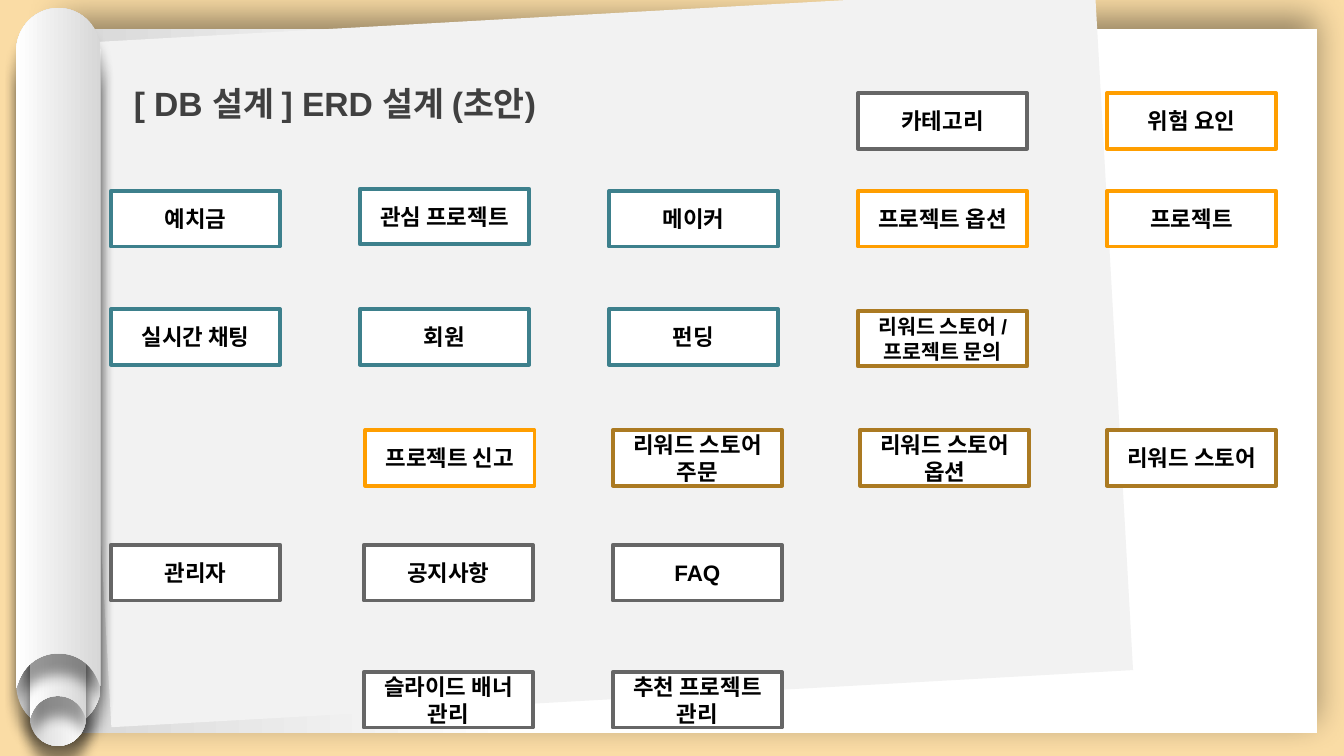
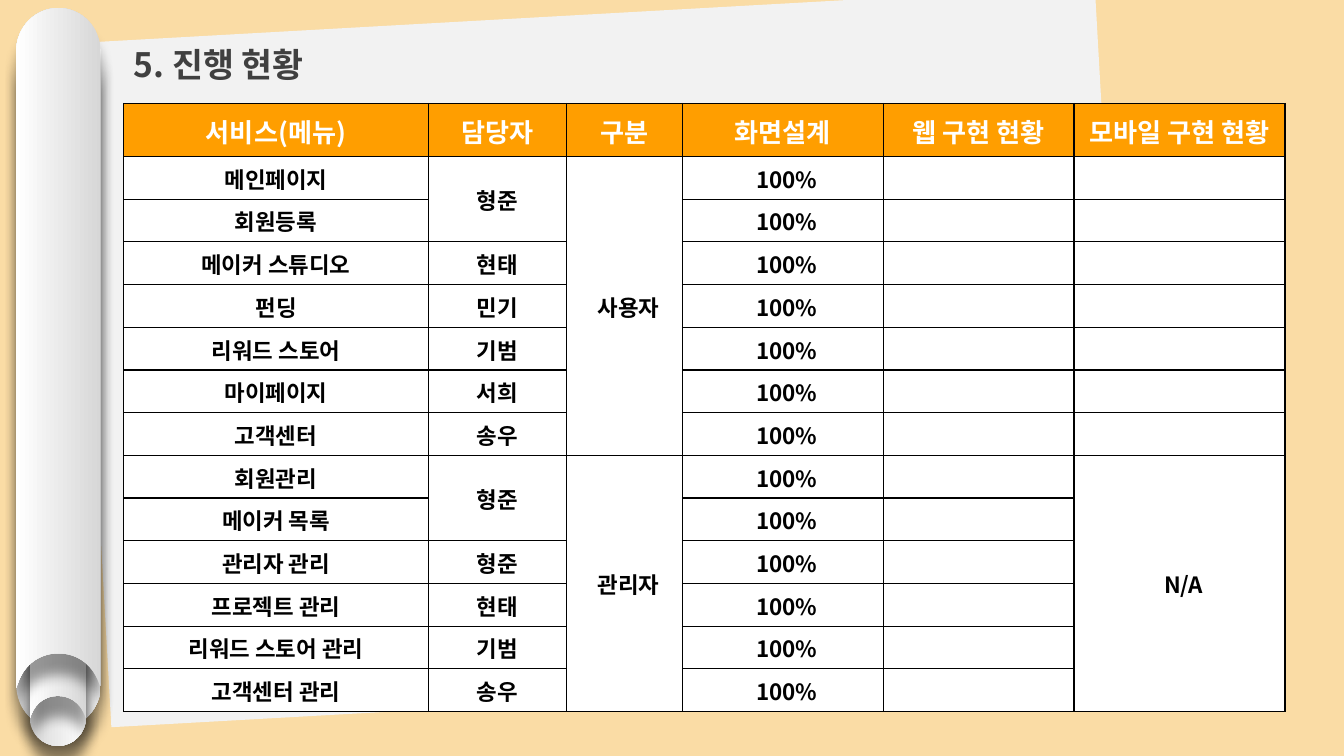
from lxml.etree import SubElement
from pptx import Presentation
from pptx.dml.color import RGBColor
from pptx.enum.shapes import MSO_SHAPE as Shape
from pptx.enum.text import MSO_ANCHOR as Anchor, MSO_AUTO_SIZE as Auto, PP_ALIGN as Align
from pptx.oxml.ns import qn
from pptx.util import Pt

SAND = RGBColor(0xFA, 0xDC, 0xA5)
PAPER = RGBColor(0xF2, 0xF2, 0xF2)
SILVER = RGBColor(0xD7, 0xD7, 0xD7)
WHITE = RGBColor(0xFF, 0xFF, 0xFF)
BLACK = RGBColor(0, 0, 0)
INK = RGBColor(0x40, 0x40, 0x40)
TEAL = RGBColor(0x3D, 0x80, 0x8C)
AMBER = RGBColor(0xFF, 0x9E, 0x00)
BROWN = RGBColor(0xAB, 0x7A, 0x22)
GRAY = RGBColor(0x66, 0x66, 0x66)

LATIN = "Arial"
HANGUL = "Noto Sans CJK KR"

ENTITIES = [
    (49.9, [(3, "카테고리", GRAY), (4, "위험 요인", AMBER)]),
    (102.3, [(0, "예치금", TEAL), (2, "메이커", TEAL),
             (3, "프로젝트 옵션", AMBER), (4, "프로젝트", AMBER)]),
    (101.1, [(1, "관심 프로젝트", TEAL)]),
    (165.6, [(0, "실시간 채팅", TEAL), (1, "회원", TEAL), (2, "펀딩", TEAL)]),
    (166.5, [(3, "리워드 스토어 / 프로젝트 문의", BROWN, 0, 11)]),
    (230.4, [(1, "프로젝트 신고", AMBER, 2.9), (2, "리워드 스토어 주문", BROWN, 2.1),
             (3, "리워드 스토어 옵션", BROWN, 1.2), (4, "리워드 스토어", BROWN)]),
    (291.9, [(0, "관리자", GRAY), (1, "공지사항", GRAY, 2.1), (2, "FAQ", GRAY, 2.1)]),
    (360, [(1, "슬라이드 배너 관리", GRAY, 2.1), (2, "추천 프로젝트 관리", GRAY, 2.1)]),
]

HEADS = ["서비스(메뉴)", "담당자", "구분", "화면설계", "웹 구현 현황", "모바일 구현 현황"]
TASKS = [
    ("메인페이지", "형준"), ("회원등록", ""), ("메이커 스튜디오", "현태"), ("펀딩", "민기"),
    ("리워드 스토어", "기범"), ("마이페이지", "서희"), ("고객센터", "송우"),
    ("회원관리", "형준"), ("메이커 목록", ""), ("관리자 관리", "형준"),
    ("프로젝트 관리", "현태"), ("리워드 스토어 관리", "기범"), ("고객센터 관리", "송우"),
]
LABELS = {(1, 2): "사용자", (8, 2): "관리자", (8, 5): "N/A"}
SPANS = [(1, 2, 1), (8, 9, 1), (1, 7, 2), (8, 13, 2), (8, 13, 5)]
WIDTHS = [163.3, 73.8, 62.3, 107.7, 102.1, 113]


class Deck:
    def __init__(self):
        self.prs = Presentation()
        self.prs.slide_width, self.prs.slide_height = Pt(720), Pt(405)

    def start(self, sheet=False):
        self.slide = self.prs.slides.add_slide(self.prs.slide_layouts[6])
        self.shapes = self.slide.shapes
        back = self.slide.background.fill
        back.solid()
        back.fore_color.rgb = SAND
        if sheet:
            page = self.rect(30.96, 15.4, 674.64, 377.3)
            self.shade(page, (0.64, WHITE), (1, SILVER))
            self.shadow(page, 18, 6, 270)
        leaf = self.rect(49, 7.6, 548.2, 367, PAPER)
        leaf.rotation = 356.8
        self.scroll()

    def rect(self, x, y, w, h, fill=WHITE, line=None):
        box = self.shapes.add_shape(Shape.RECTANGLE, Pt(x), Pt(y), Pt(w), Pt(h))
        box.shadow.inherit = False
        box.fill.solid()
        box.fill.fore_color.rgb = fill
        if line is None:
            box.line.fill.background()
        else:
            box.line.color.rgb = line
            box.line.width = Pt(2)
        return box

    def shade(self, shape, *stops):
        shape.fill.gradient()
        shape.fill.gradient_angle = 180
        for stop, (place, color) in zip(shape.fill.gradient_stops, stops):
            stop.position = place
            stop.color.rgb = color
        shape.line.fill.background()

    def shadow(self, shape, blur, dist, angle):
        shape.shadow.inherit = False
        effects = shape._element.spPr.find(qn("a:effectLst"))
        outer = SubElement(effects, qn("a:outerShdw"), blurRad=str(Pt(blur)), dist=str(Pt(dist)),
                           dir=str(angle * 60000), algn="ctr", rotWithShape="0")
        tint = SubElement(outer, qn("a:srgbClr"), val=str(BLACK))
        SubElement(tint, qn("a:alpha"), val="40000")

    def scroll(self):
        group = self.shapes.add_group_shape()
        big, small = (8.64, 45.36, 364.32), (15.84, 30.24, 244.08)
        self.tube(group, 25.92, *big, turn=180)
        self.tube(group, 155.52, *small, turn=180)
        self.tube(group, 141.12, *small)
        self.tube(group, 4.32, *big)

    def tube(self, group, y, x, w, h, turn=0):
        foot = h / w
        half = [(0.78, 0), (1, 0.23), (1, 0.52), (1, foot), (0.97, foot - 0.08),
                (0.89, foot - 0.29), (0.71, foot - 0.41), (0.5, foot - 0.41)]
        back = [(1 - a, b) for a, b in reversed(half[:-1])]
        points = [(Pt(x + w * a), Pt(y + w * b)) for a, b in [(0.5, 0)] + half + back + [(0.5, 0)]]
        form = group.shapes.build_freeform(*points[0])
        form.add_line_segments(points[1:])
        shape = form.convert_to_shape()
        self.bend(shape, (0, 5, 8, 13))
        shape.rotation = turn
        self.shade(shape, (0, SILVER), (1, WHITE))
        self.shadow(shape, 7, 11, 90)

    def bend(self, shape, starts):
        lines = list(shape._element.iter(qn("a:lnTo")))
        for start in starts:
            first, *rest = lines[start:start + 3]
            first.tag = qn("a:cubicBezTo")
            for line in rest:
                first.append(line[0])
                line.getparent().remove(line)

    def style(self, para, size, face, color):
        para.font.size = Pt(size)
        para.font.bold = True
        para.font.color.rgb = color
        para.font.name = face
        props = para._p.pPr.find(qn("a:defRPr"))
        props.set("kern", "0")
        SubElement(props, qn("a:ea"), typeface=HANGUL)

    def title(self, text, y, h, face):
        box = self.shapes.add_textbox(Pt(66.24), Pt(y), Pt(519.12), Pt(h))
        frame = box.text_frame
        frame.word_wrap = True
        frame.auto_size = Auto.SHAPE_TO_FIT_TEXT
        frame.margin_left = frame.margin_right = Pt(5.4)
        frame.margin_top = frame.margin_bottom = Pt(2.7)
        para = frame.paragraphs[0]
        para.text = text
        para.line_spacing = 1.5
        self.style(para, 18, face, INK)

    def entity(self, y, col, text, color, shift=0, size=12):
        box = self.rect(59.4 + 133.4 * col + shift, y, 90.72, 29.8, line=color)
        frame = box.text_frame
        frame.word_wrap = True
        frame.vertical_anchor = Anchor.MIDDLE
        para = frame.paragraphs[0]
        para.text = text
        para.alignment = Align.CENTER
        self.style(para, size, LATIN, BLACK)

    def cell(self, cell, text, head, left):
        props = cell._tc.get_or_add_tcPr()
        for side in ("lnL", "lnR", "lnT", "lnB"):
            edge = SubElement(props, qn("a:" + side), w=str(Pt(0.75)))
            paint = SubElement(edge, qn("a:solidFill"))
            SubElement(paint, qn("a:srgbClr"), val=str(BLACK))
        cell.fill.solid()
        cell.fill.fore_color.rgb = AMBER if head else WHITE
        cell.vertical_anchor = Anchor.MIDDLE
        cell.margin_left = Pt(left)
        cell.margin_right = cell.margin_top = Pt(0.7)
        cell.margin_bottom = 0
        para = cell.text_frame.paragraphs[0]
        para.alignment = Align.CENTER
        if text:
            para.text = text
            self.style(para, 14 if head else 12, HANGUL, WHITE if head else BLACK)
        else:
            SubElement(para._p, qn("a:endParaRPr"), sz="1200")

    def table(self, rows):
        frame = self.shapes.add_table(len(rows), len(WIDTHS), Pt(66.24), Pt(55.44),
                                      Pt(sum(WIDTHS)), Pt(326.1))
        grid = frame.table
        grid.first_row = grid.horz_banding = False
        for col, width in zip(grid.columns, WIDTHS):
            col.width = Pt(width)
        for i, texts in enumerate(rows):
            grid.rows[i].height = Pt(22.9 if i else 28.4)
            for j, text in enumerate(texts):
                self.cell(grid.cell(i, j), text, i == 0, 5 if i and j > 1 else 0.7)
        for top, end, col in SPANS:
            grid.cell(top, col).merge(grid.cell(end, col))


def main():
    deck = Deck()
    deck.start(sheet=True)
    deck.title("[ DB 설계 ] ERD 설계 (초안)", 30.96, 38.16, LATIN)
    for y, items in ENTITIES:
        for item in items:
            deck.entity(y, *item)

    deck.start()
    deck.title("5. 진행 현황", 10.08, 35.28, HANGUL)
    rows = [HEADS]
    for i, (menu, owner) in enumerate(TASKS, 1):
        rows.append([menu, owner, LABELS.get((i, 2), ""), "100%", "", LABELS.get((i, 5), "")])
    deck.table(rows)
    deck.prs.save("out.pptx")


if __name__ == "__main__":
    main()
